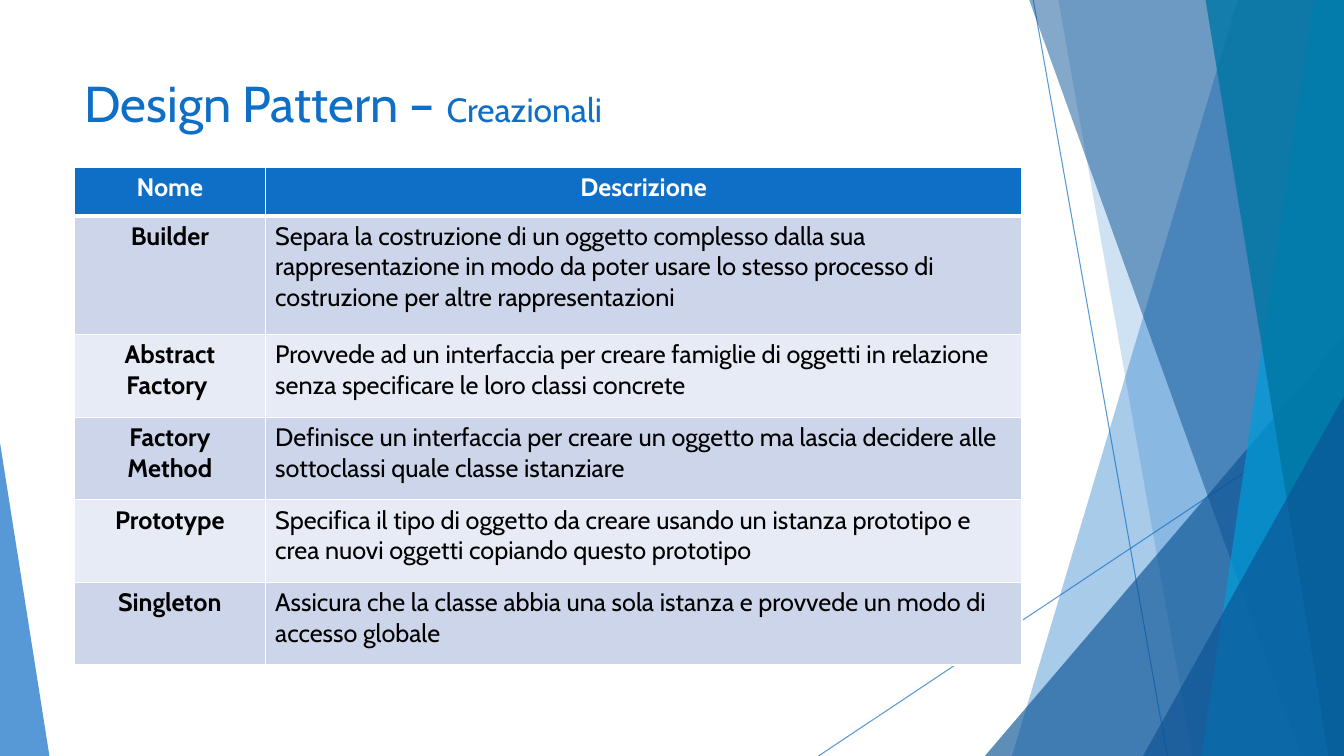
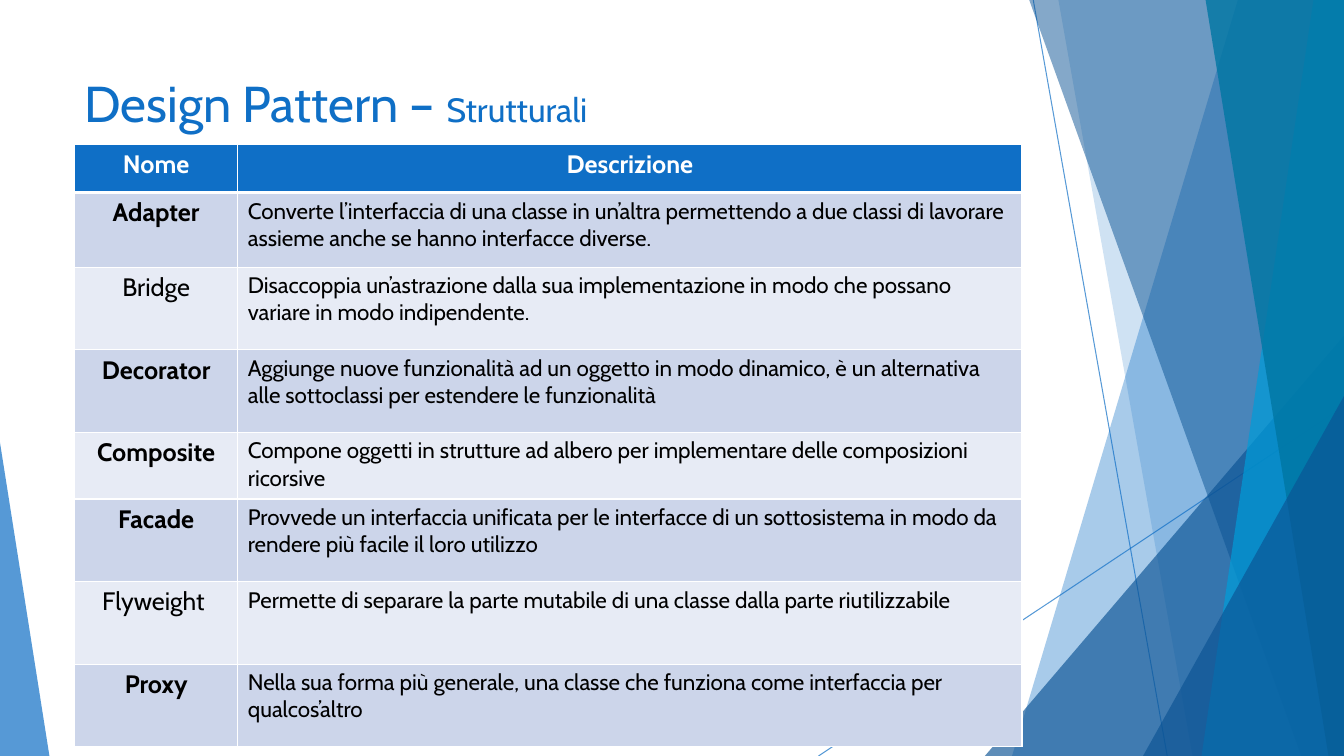
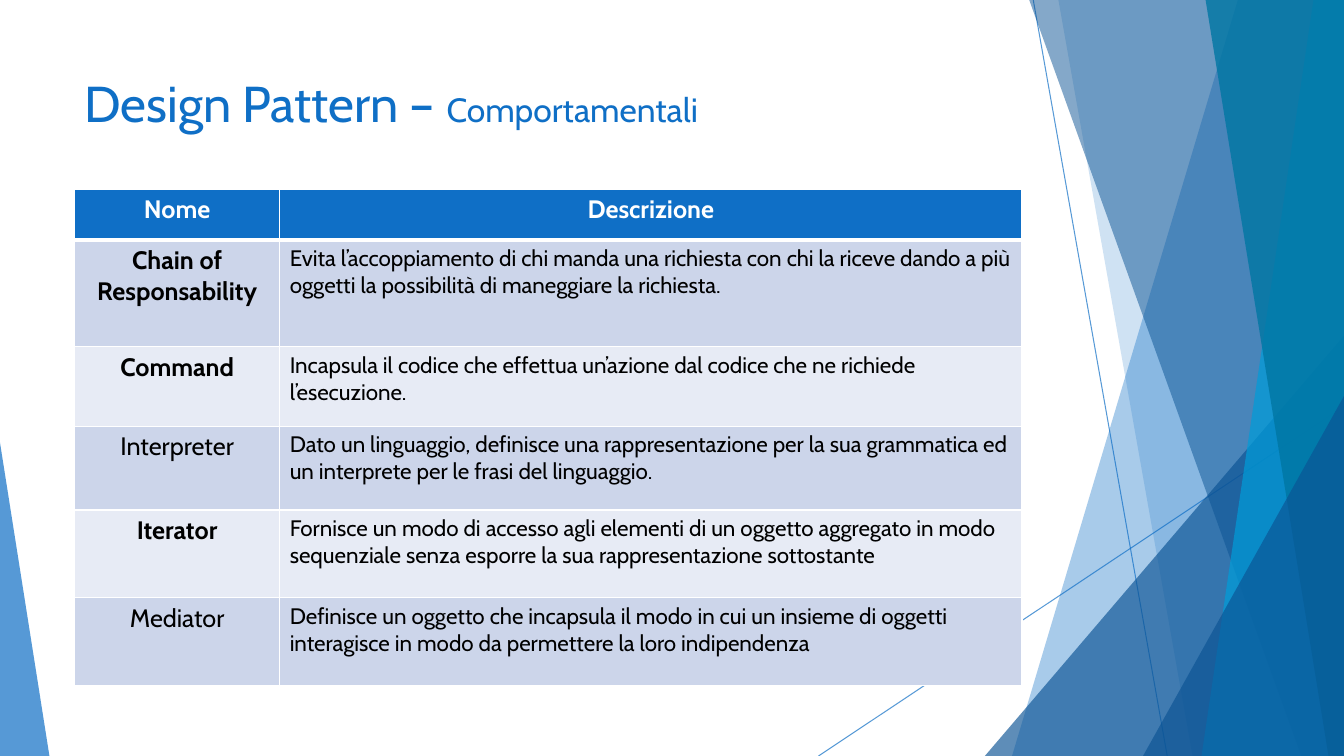
import dataclasses

import lxml.etree
import pptx
import pptx.dml.color
import pptx.enum.shapes
import pptx.enum.text
import pptx.oxml.ns
import pptx.util

BLUE = pptx.dml.color.RGBColor(0x0F, 0x6F, 0xC6)
NAVY = pptx.dml.color.RGBColor(0x0B, 0x53, 0x94)
SKY = pptx.dml.color.RGBColor(0x00, 0x9D, 0xD9)
TEAL = pptx.dml.color.RGBColor(0x00, 0x76, 0xA3)
DARK_ROW = pptx.dml.color.RGBColor(0xCC, 0xD5, 0xEA)
LIGHT_ROW = pptx.dml.color.RGBColor(0xE7, 0xEB, 0xF5)
WHITE = pptx.dml.color.RGBColor(0xFF, 0xFF, 0xFF)
BLACK = pptx.dml.color.RGBColor(0x00, 0x00, 0x00)
FONT = "Cabin"
CENTER = pptx.enum.text.PP_ALIGN.CENTER
LEFT = pptx.enum.text.PP_ALIGN.LEFT


@dataclasses.dataclass
class Box:
    left: int
    top: int
    width: int
    height: int

    def x(self, percent):
        return round(self.left + self.width * percent / 100)

    def y(self, percent):
        return round(self.top + self.height * percent / 100)

    def region(self, left, top, right, bottom):
        return Box(self.x(left), self.y(top),
                   self.x(right) - self.x(left), self.y(bottom) - self.y(top))

    def place(self):
        return self.left, self.top, self.width, self.height


@dataclasses.dataclass
class Pattern:
    name: str
    description: str
    height: float = 10.93
    bold: bool = True


@dataclasses.dataclass
class Family:
    title: str
    top: float
    header_height: float
    name_width: float
    description_size: int
    patterns: list


RAYS = [(76.88, 0, 86.85, 100), (100, 53.73, 60.9, 100)]

BACK_BANDS = [(92.1, 75.3, BLUE, 36), (78.75, 88.73, BLUE, 20)]
FRONT_BANDS = [(76.58, 96.83, NAVY, 50), (97.73, 89.4, SKY, 70), (89.7, 98.85, TEAL, 80)]

FAMILIES = [
    Family("Creazionali", 22.13, 6.4, 20.11, 18, [
        Pattern("Builder", "Separa la costruzione di un oggetto complesso dalla sua rappresentazione in modo da poter usare lo stesso processo di costruzione per altre rappresentazioni", 15.73),
        Pattern("Abstract Factory ", "Provvede ad un interfaccia per creare famiglie di oggetti in relazione senza specificare le loro classi concrete"),
        Pattern("Factory Method", "Definisce un interfaccia per creare un oggetto ma lascia decidere alle sottoclassi quale classe istanziare"),
        Pattern("Prototype", "Specifica il tipo di oggetto da creare usando un istanza prototipo e crea nuovi oggetti copiando questo prototipo"),
        Pattern("Singleton", "Assicura che la classe abbia una sola istanza e provvede un modo di accesso globale"),
    ]),
    Family("Strutturali", 19.07, 6.4, 17.23, 16, [
        Pattern("Adapter", "Converte l’interfaccia di una classe in un’altra permettendo a due classi di lavorare assieme anche se hanno interfacce diverse.", 9.87),
        Pattern("Bridge", "Disaccoppia un’astrazione dalla sua implementazione in modo che possano variare in modo indipendente.", bold=False),
        Pattern("Decorator", "Aggiunge nuove funzionalità ad un oggetto in modo dinamico, è un alternativa alle sottoclassi per estendere le funzionalità"),
        Pattern("Composite", "Compone oggetti in strutture ad albero per implementare delle composizioni ricorsive", 8.8),
        Pattern("Facade", "Provvede un interfaccia unificata per le interfacce di un sottosistema in modo da rendere più facile il loro utilizzo"),
        Pattern("Flyweight ", "Permette di separare la parte mutabile di una classe dalla parte riutilizzabile", bold=False),
        Pattern("Proxy", "Nella sua forma più generale, una classe che funziona come interfaccia per qualcos’altro"),
    ]),
    Family("Comportamentali", 25.07, 6.67, 21.65, 16, [
        Pattern("Chain of Responsability", "Evita l’accoppiamento di chi manda una richiesta con chi la riceve dando a più oggetti la possibilità di maneggiare la richiesta.", 14.13),
        Pattern("Command", "Incapsula il codice che effettua un’azione dal codice che ne richiede l’esecuzione.", 10.53),
        Pattern("Interpreter", "Dato un linguaggio, definisce una rappresentazione per la sua grammatica ed un interprete per le frasi del linguaggio.", 11.07, False),
        Pattern("Iterator", "Fornisce un modo di accesso agli elementi di un oggetto aggregato in modo sequenziale senza esporre la sua rappresentazione sottostante", 11.6),
        Pattern("Mediator", "Definisce un oggetto che incapsula il modo in cui un insieme di oggetti interagisce in modo da permettere la loro indipendenza", 11.6, False),
    ]),
]


def add_node(parent, tag, **attributes):
    return lxml.etree.SubElement(parent, pptx.oxml.ns.qn(tag), **attributes)


def set_opacity(shape, percent):
    for color in shape._element.spPr.iter(pptx.oxml.ns.qn("a:srgbClr")):
        add_node(color, "a:alpha", val=str(percent * 1000))


def paint(shape, color, opacity):
    shape.shadow.inherit = False
    shape.fill.solid()
    shape.fill.fore_color.rgb = color
    shape.line.fill.background()
    set_opacity(shape, opacity)


def add_run(paragraph, text, size, color, bold=False):
    run = paragraph.add_run()
    run.text = text
    run.font.name = FONT
    run.font.size = pptx.util.Pt(size)
    run.font.bold = bold
    run.font.color.rgb = color


def draw_ray(slide, box, start_x, start_y, end_x, end_y):
    ray = slide.shapes.add_connector(
        pptx.enum.shapes.MSO_CONNECTOR.STRAIGHT,
        box.x(start_x), box.y(start_y), box.x(end_x), box.y(end_y))
    ray.line.color.rgb = BLUE
    ray.line.width = pptx.util.Pt(0.75)
    set_opacity(ray, 70)
    add_node(ray._element.spPr, "a:effectLst")


def draw_band(slide, box, top_x, bottom_x, color, opacity):
    outline = slide.shapes.build_freeform(box.x(top_x), box.y(0))
    outline.add_line_segments([
        (box.x(100), box.y(0)), (box.x(100), box.y(100)), (box.x(bottom_x), box.y(100))])
    paint(outline.convert_to_shape(), color, opacity)


def draw_wedge(slide, box, apex, color, opacity):
    wedge = slide.shapes.add_shape(
        pptx.enum.shapes.MSO_SHAPE.ISOSCELES_TRIANGLE, *box.place())
    wedge.adjustments[0] = apex
    paint(wedge, color, opacity)


def draw_backdrop(slide, box):
    for ray in RAYS:
        draw_ray(slide, box, *ray)
    for band in BACK_BANDS:
        draw_band(slide, box, *band)
    draw_wedge(slide, box.region(73.28, 44.4, 100, 100), 1, NAVY, 66)
    for band in FRONT_BANDS:
        draw_band(slide, box, *band)
    draw_wedge(slide, box.region(85.05, 52.4, 100, 100), 1, NAVY, 66)
    draw_wedge(slide, box.region(0, 58.53, 3.68, 100), 0, BLUE, 70)


def draw_title(slide, box, family_title):
    frame = slide.shapes.add_textbox(*box.place()).text_frame
    frame.word_wrap = True
    heading = frame.paragraphs[0]
    add_run(heading, "Design Pattern – ", 36, BLUE)
    add_run(heading, family_title, 24, BLUE)


def draw_borders(cell, top, bottom):
    properties = cell._tc.get_or_add_tcPr()
    for side, points in (("L", 1), ("R", 1), ("T", top), ("B", bottom)):
        border = add_node(properties, f"a:ln{side}", w=str(pptx.util.Pt(points)))
        add_node(add_node(border, "a:solidFill"), "a:srgbClr", val=str(WHITE))


def fill_cell(cell, text, size, color, bold, align, background, top=1, bottom=1):
    draw_borders(cell, top, bottom)
    cell.fill.solid()
    cell.fill.fore_color.rgb = background
    paragraph = cell.text_frame.paragraphs[0]
    paragraph.alignment = align
    add_run(paragraph, text, size, color, bold)


def draw_pattern_table(slide, box, family, row_heights):
    table = slide.shapes.add_table(len(row_heights), 2, *box.place()).table
    table.horz_banding = False
    table.columns[0].width = round(box.width * family.name_width / 100)
    table.columns[1].width = box.width - table.columns[0].width
    for row, height in zip(table.rows, row_heights):
        row.height = height
    for column, label in enumerate(("Nome", "Descrizione")):
        fill_cell(table.cell(0, column), label, 18, WHITE, True, CENTER, BLUE, bottom=3)
    for number, pattern in enumerate(family.patterns, 1):
        background = DARK_ROW if number % 2 else LIGHT_ROW
        top = 3 if number == 1 else 1
        fill_cell(table.cell(number, 0), pattern.name, 18, BLACK, pattern.bold,
                  CENTER, background, top)
        fill_cell(table.cell(number, 1), pattern.description, family.description_size,
                  BLACK, False, LEFT, background, top)


def draw_family_slide(slide, box, family):
    draw_backdrop(slide, box)
    draw_title(slide, box.region(5.55, 8.93, 76.05, 28.13), family.title)
    shares = [family.header_height] + [pattern.height for pattern in family.patterns]
    row_heights = [round(box.height * share / 100) for share in shares]
    table_box = box.region(5.55, family.top, 76.05, family.top + sum(shares))
    draw_pattern_table(slide, table_box, family, row_heights)


def main():
    deck = pptx.Presentation()
    deck.slide_width = pptx.util.Inches(13.33)
    deck.slide_height = pptx.util.Inches(7.5)
    page = Box(0, 0, deck.slide_width, deck.slide_height)
    for family in FAMILIES:
        draw_family_slide(deck.slides.add_slide(deck.slide_layouts[6]), page, family)
    deck.save("out.pptx")


if __name__ == "__main__":
    main()
